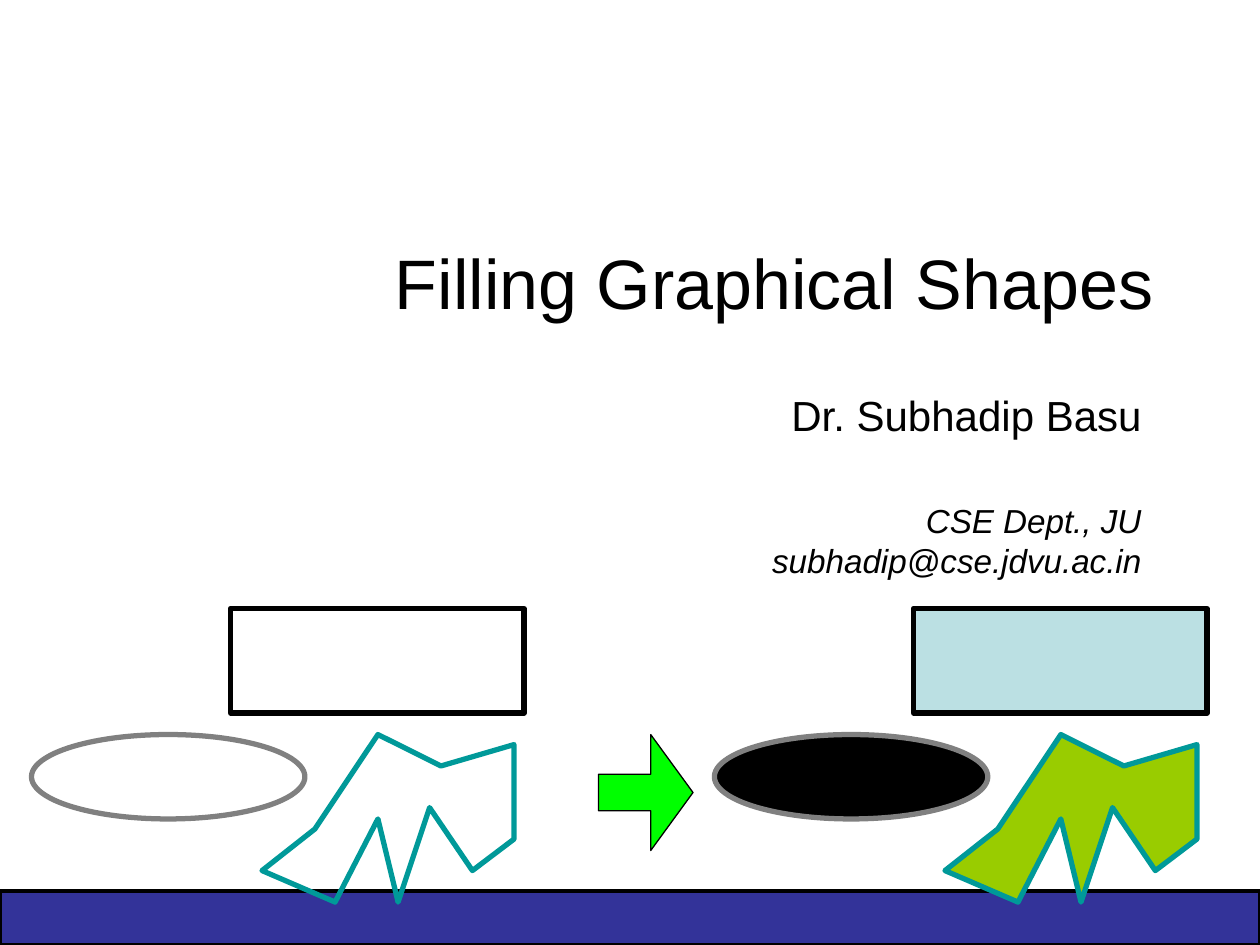
import pptx
import pptx.util
import pptx.dml.color
import pptx.enum.shapes
import pptx.enum.text

Inches = pptx.util.Inches
Pt = pptx.util.Pt
KIND = pptx.enum.shapes.MSO_SHAPE
TEXT = pptx.enum.text

COLORS = {
    "black": "000000",
    "gray": "808080",
    "navy": "333399",
    "pale": "BBE0E3",
    "lime": "99CC00",
    "teal": "009999",
    "green": "00FF00",
}
STAR = [
    (0.42, 0.75), (0.92, 0), (1.42, 0.25), (2, 0.08), (2, 0.83), (1.67, 1.08),
    (1.33, 0.58), (1.08, 1.33), (0.92, 0.67), (0.58, 1.33), (0, 1.08),
]
SHIFT = 5.42


class Deck:
    font = "Arial"

    def __init__(self, wide, high):
        self.show = pptx.Presentation()
        self.show.slide_width = Inches(wide)
        self.show.slide_height = Inches(high)
        self.slide = self.show.slides.add_slide(self.show.slide_layouts[0])

    def color(self, name):
        return pptx.dml.color.RGBColor.from_string(COLORS[name])

    def paint(self, shape, fill, line, width):
        shape.shadow.inherit = False
        if fill:
            shape.fill.solid()
            shape.fill.fore_color.rgb = self.color(fill)
        else:
            shape.fill.background()
        shape.line.color.rgb = self.color(line)
        shape.line.width = Pt(width)

    def shape(self, kind, box, fill, line, width=3, adjust=()):
        shape = self.slide.shapes.add_shape(kind, *map(Inches, box))
        for i, value in enumerate(adjust):
            shape.adjustments[i] = value
        self.paint(shape, fill, line, width)

    def outline(self, left, top, points, fill, line, width=3):
        spots = [(Inches(left + x), Inches(top + y)) for x, y in points]
        pen = self.slide.shapes.build_freeform(*spots[0])
        pen.add_line_segments(spots[1:], close=True)
        self.paint(pen.convert_to_shape(), fill, line, width)

    def text(self, index, box, anchor, lines):
        holder = self.slide.placeholders[index]
        holder.left, holder.top, holder.width, holder.height = map(Inches, box)
        frame = holder.text_frame
        frame.word_wrap = True
        frame.auto_size = TEXT.MSO_AUTO_SIZE.NONE
        frame.vertical_anchor = anchor
        frame.text = "\n".join(line[0] for line in lines)
        for par, (_, size, italic, space, before) in zip(frame.paragraphs, lines):
            par.alignment = TEXT.PP_ALIGN.RIGHT
            par.line_spacing = space
            par.space_before = Pt(before)
            par.font.name = self.font
            par.font.size = Pt(size)
            par.font.italic = italic
            par.font.color.rgb = self.color("black")


def main():
    deck = Deck(10, 7.5)
    deck.shape(KIND.RECTANGLE, (0, 7.07, 10, 0.43), "navy", "black", 2)
    deck.text(0, (0.75, 1.43, 8.5, 1.61), TEXT.MSO_ANCHOR.MIDDLE, [
        ("Filling Graphical Shapes", 40, False, 1.0, 0),
    ])
    deck.text(1, (2.4, 3.09, 6.76, 1.59), TEXT.MSO_ANCHOR.TOP, [
        ("Dr. Subhadip Basu", 24, False, 0.9, 0),
        ("CSE Dept., JU", 19, True, 0.8, 38),
        ("subhadip@cse.jdvu.ac.in", 19, True, 0.8, 4.8),
    ])
    groups = [(SHIFT, "pale", "black", "lime"), (0, None, None, None)]
    for shift, box, oval, star in groups:
        deck.shape(KIND.RECTANGLE, (1.83 + shift, 4.83, 2.33, 0.83), box, "black")
        deck.shape(KIND.OVAL, (0.25 + shift, 5.83, 2.17, 0.67), oval, "gray")
        deck.outline(2.08 + shift, 5.83, STAR, star, "teal")
    deck.shape(KIND.RIGHT_ARROW, (4.75, 5.83, 0.75, 0.92), "green", "black",
               0.75, (0.314, 0.447))
    deck.show.save("out.pptx")


if __name__ == "__main__":
    main()
